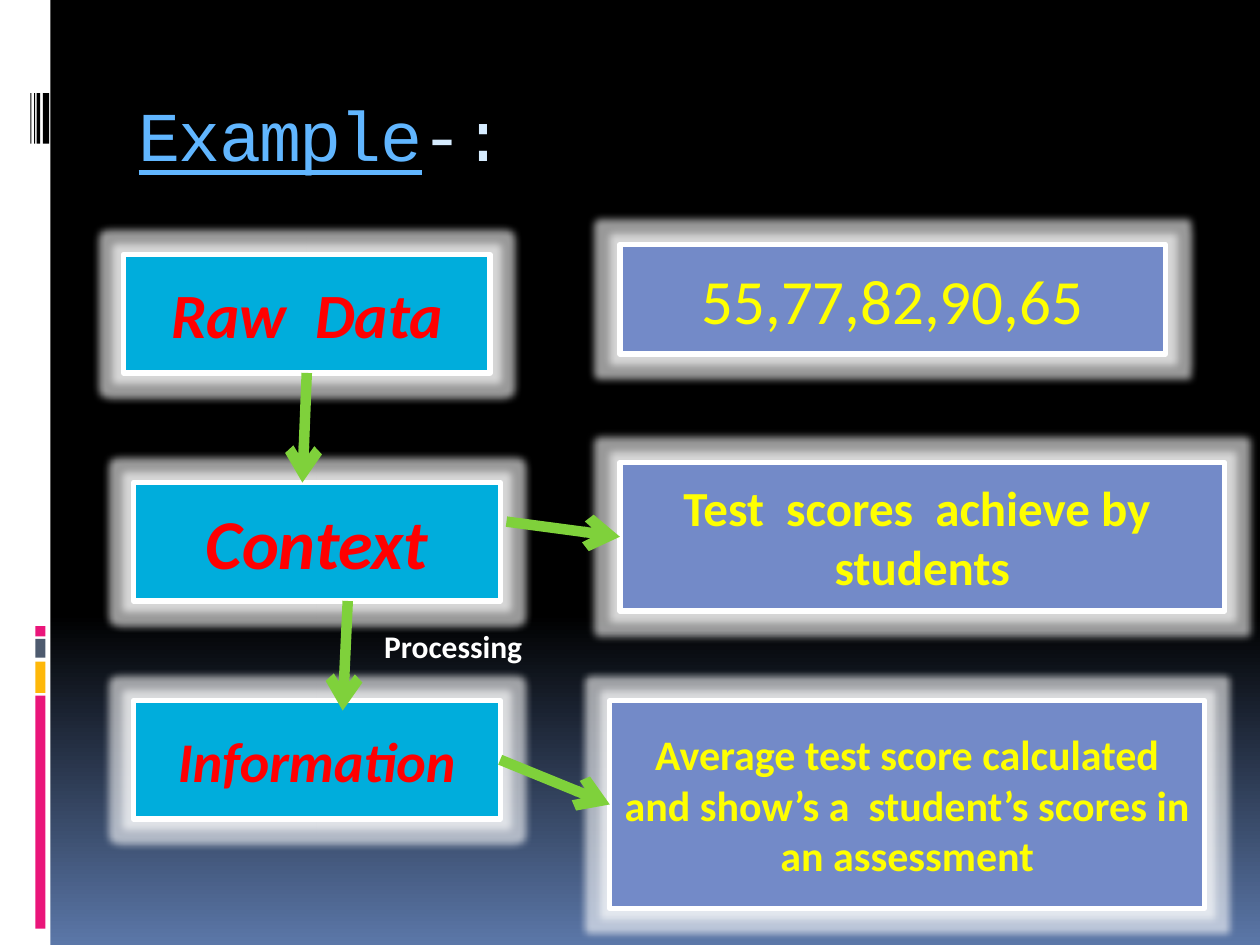
from lxml.etree import SubElement
from pptx import Presentation
from pptx.dml.color import RGBColor
from pptx.enum.shapes import MSO_CONNECTOR as Connector, MSO_SHAPE as Shape
from pptx.enum.text import MSO_ANCHOR as Anchor, MSO_AUTO_SIZE as AutoSize, PP_ALIGN as Align
from pptx.oxml.ns import qn
from pptx.util import Inches, Pt

WHITE = RGBColor(0xFF, 0xFF, 0xFF)
BLACK = RGBColor(0x00, 0x00, 0x00)
HORIZON = RGBColor(0x5B, 0x77, 0xA8)
PINK = RGBColor(0xEA, 0x15, 0x7A)
AMBER = RGBColor(0xFE, 0xB8, 0x0A)
SLATE = RGBColor(0x4E, 0x5B, 0x6F)
SKY = RGBColor(0x61, 0xB6, 0xFF)
PALE = RGBColor(0xD6, 0xEC, 0xFF)
CYAN = RGBColor(0x00, 0xAD, 0xDC)
PERIWINKLE = RGBColor(0x73, 0x8A, 0xC8)
RED = RGBColor(0xFF, 0x00, 0x00)
YELLOW = RGBColor(0xFF, 0xFF, 0x00)
GREEN = RGBColor(0x7F, 0xD1, 0x3B)


def add_span(para, text, color, **formats):
    span = para.add_run()
    span.text = text
    span.font.color.rgb = color
    for name, value in formats.items():
        setattr(span.font, name, value)
    return span


def add_rectangle(page, left, top, width, height, color):
    box = page.shapes.add_shape(Shape.RECTANGLE, Inches(left), Inches(top),
                                Inches(width), Inches(height))
    box.shadow.inherit = False
    box.fill.solid()
    box.fill.fore_color.rgb = color
    box.line.fill.background()
    return box


deck = Presentation()
deck.slide_width, deck.slide_height = Inches(10), Inches(7.5)
page = deck.slides.add_slide(deck.slide_layouts[5])

# Background: black down to 65 %, then fading to blue
backdrop = page.background.fill
backdrop.gradient()
backdrop.gradient_angle = 270
for stop, position, color in zip(backdrop.gradient_stops, (0.65, 1), (BLACK, HORIZON)):
    stop.position = position
    stop.color.rgb = color

# Side strip with coloured bars and black stripes
add_rectangle(page, 0, 0, 0.4, 7.5, WHITE)
for top, height, color in ((5.52, 1.85, PINK), (5.25, 0.25, AMBER),
                           (5.07, 0.15, SLATE), (4.97, 0.08, PINK)):
    add_rectangle(page, 0.28, top, 0.08, height, color)
for left, width in ((0.34, 0.05), (0.29, 0.03), (0.27, 0.01), (0.24, 0.01)):
    add_rectangle(page, left, 0.74, width, 0.4, BLACK)

# Title
title = page.shapes.title
title.left, title.top, title.width, title.height = map(Inches, (1, 0.56, 8.5, 1))
title.text_frame.vertical_anchor = Anchor.MIDDLE
para = title.text_frame.paragraphs[0]
para.alignment = Align.LEFT
for text, color, underline in (("Example", SKY, True), ("-:", PALE, False)):
    span = add_span(para, text, color, name="Courier New", size=Pt(40), underline=underline)
    span.font._element.set("spc", "-100")

# Glowing boxes: steps on the left, their examples on the right
step = {"bold": True, "italic": True}
example = {"bold": True}
boxes = {}
for name, place, fill, text, color, size, style in (
    ("raw", (0.98, 2.02, 2.91, 0.94), CYAN, "Raw  Data", RED, 36, step),
    ("context", (1.06, 3.83, 2.91, 0.94), CYAN, "Context", RED, 40, step),
    ("information", (1.06, 5.56, 2.91, 0.94), CYAN, "Information", RED, 32, step),
    ("average", (4.84, 5.56, 4.72, 1.65), PERIWINKLE,
     "Average test score calculated and show’s a  student’s scores in an assessment",
     YELLOW, 24, example),
    ("scores", (4.92, 3.67, 4.8, 1.18), PERIWINKLE,
     "Test  scores  achieve by  students", YELLOW, 28, example),
    ("numbers", (4.92, 1.94, 4.33, 0.87), PERIWINKLE, "55,77,82,90,65", YELLOW, 36, {}),
):
    box = boxes[name] = add_rectangle(page, *place, fill)
    box.line.color.rgb = WHITE
    box.line.width = Pt(3)
    effects = box._element.spPr.find(qn("a:effectLst"))
    glow = SubElement(effects, qn("a:glow"), rad=str(Inches(0.12)))
    tint = SubElement(glow, qn("a:srgbClr"), val=str(WHITE))
    SubElement(tint, qn("a:alpha"), val="60000")
    box.text_frame.word_wrap = True
    box.text_frame.vertical_anchor = Anchor.MIDDLE
    para = box.text_frame.paragraphs[0]
    para.alignment = Align.CENTER
    add_span(para, text, color, name="Calibri", size=Pt(size), **style)

# Arrows, joined where they meet the middle of a side
for ends, source, target in (
    ((2.44, 2.96, 2.4, 3.83), ("raw", 2), None),
    ((3.98, 6.03, 4.84, 6.39), ("information", 3), ("average", 1)),
    ((4.02, 4.14, 4.92, 4.26), None, ("scores", 1)),
    ((2.76, 4.77, 2.72, 5.64), None, None),
):
    arrow = page.shapes.add_connector(Connector.STRAIGHT, *map(Inches, ends))
    if source:
        arrow.begin_connect(boxes[source[0]], source[1])
    if target:
        arrow.end_connect(boxes[target[0]], target[1])
    arrow.line.color.rgb = GREEN
    arrow.line.width = Pt(6)
    SubElement(arrow.line._get_or_add_ln(), qn("a:tailEnd"), type="arrow")
    SubElement(arrow._element.spPr, qn("a:effectLst"))

# Label beside the lower arrow
label = page.shapes.add_textbox(*map(Inches, (2.95, 4.93, 2.44, 0.4)))
label.text_frame.word_wrap = True
label.text_frame.auto_size = AutoSize.SHAPE_TO_FIT_TEXT
add_span(label.text_frame.paragraphs[0], "Processing", WHITE,
         name="Calibri", size=Pt(18), bold=True)

deck.save("out.pptx")
